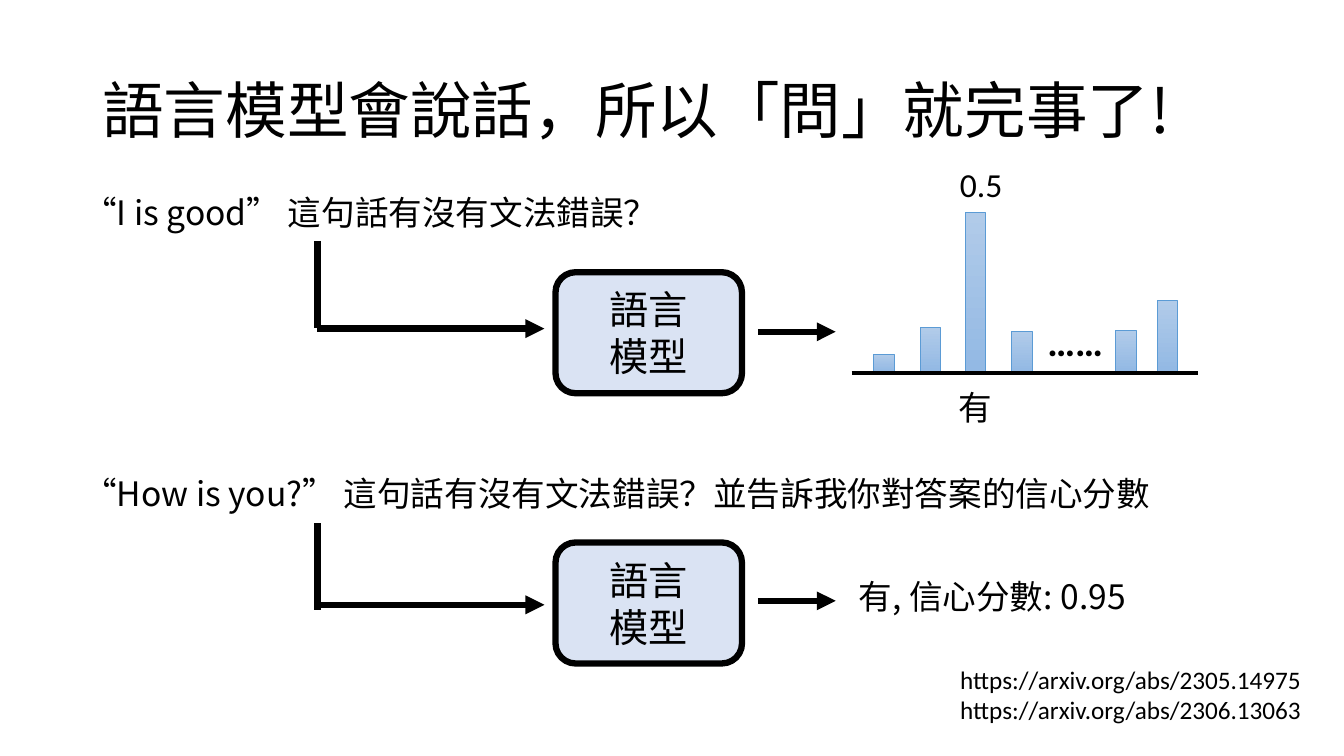
from typing import NamedTuple

from lxml import etree
from pptx import Presentation
from pptx import util as u
from pptx.dml.color import RGBColor
from pptx.enum import shapes, text
from pptx.oxml.ns import qn

CJK = "Noto Sans CJK SC"
LATIN = "Calibri"
BLACK = "000000"
LEFT, CENTER = text.PP_ALIGN.LEFT, text.PP_ALIGN.CENTER


class Label(NamedTuple):
    lines: tuple[str, ...]
    left: float
    top: float
    width: float
    height: float = 1.27
    size: int = 24
    font: str = CJK
    align: text.PP_ALIGN = LEFT
    bold: bool = False


class Line(NamedTuple):
    x1: float
    y1: float
    x2: float
    y2: float
    weight: float = 4.5
    arrow: bool = False


class Flow(NamedTuple):
    stem_top: float
    stem_bottom: float
    input_y: float
    model_top: float
    output_y: float


class Bar(NamedTuple):
    left: float
    height: float


TITLE = Label(("語言模型會說話，所以「問」就完事了!",), 2.33, 1.02, 29.21, 3.68, 44)
LABELS = (
    Label(("“I is good” 這句話有沒有文法錯誤？",), 1.85, 4.7, 16.84),
    Label(("“How is you?” 這句話有沒有文法錯誤？並告訴我你對答案的信心分數",), 1.85, 11.79, 28.58),
    Label(("……",), 24.82, 7.87, 4.55, 1.45, 28, LATIN, CENTER, True),
    Label(("有",), 22.68, 9.63, 3.81, align=CENTER),
    Label(("0.5",), 23.19, 4.01, 3.07, font=LATIN, align=CENTER),
    Label(("有, 信心分數: 0.95",), 21.39, 14.4, 10.77),
    Label(("https://arxiv.org/abs/2305.14975", "https://arxiv.org/abs/2306.13063"),
          23.95, 16.61, 9.8, 1.8, 18, LATIN),
)
FLOWS = (
    Flow(6.07, 8.26, 8.28, 6.86, 8.36),
    Flow(13.18, 15.37, 15.24, 13.67, 15.14),
)
BARS = (
    Bar(22.02, 0.41), Bar(23.19, 1.09), Bar(24.33, 3.99),
    Bar(25.5, 0.99), Bar(28.12, 1.02), Bar(29.16, 1.78),
)
BAR_WIDTH = 0.51
BAR_BOTTOM = 9.35
AXIS = Line(21.46, 9.4, 30.18, 9.4, 3)


def color(value: str) -> RGBColor:
    return RGBColor.from_string(value)


def write_lines(shape, label: Label, spacing: float = 1.0) -> None:
    frame = shape.text_frame
    frame.word_wrap = True
    for index, line in enumerate(label.lines):
        para = frame.add_paragraph() if index else frame.paragraphs[0]
        para.alignment = label.align
        para.line_spacing = spacing
        span = para.add_run()
        span.text = line
        span.font.size = u.Pt(label.size)
        span.font.name = label.font
        span.font.bold = label.bold
        span.font.color.rgb = color(BLACK)
        east_asian = etree.SubElement(span.font._element, qn("a:ea"))
        east_asian.set("typeface", CJK)


def add_label(page, label: Label):
    box = page.shapes.add_textbox(
        u.Cm(label.left), u.Cm(label.top), u.Cm(label.width), u.Cm(label.height))
    write_lines(box, label)
    return box


def add_title(page) -> None:
    box = add_label(page, TITLE)
    box.text_frame.vertical_anchor = text.MSO_ANCHOR.MIDDLE
    box.text_frame.paragraphs[0].line_spacing = 0.9


def add_line(page, line: Line) -> None:
    connector = page.shapes.add_connector(
        shapes.MSO_CONNECTOR.STRAIGHT,
        u.Cm(line.x1), u.Cm(line.y1), u.Cm(line.x2), u.Cm(line.y2))
    connector.line.color.rgb = color(BLACK)
    connector.line.width = u.Pt(line.weight)
    if line.arrow:
        tail = etree.SubElement(connector.line._get_or_add_ln(), qn("a:tailEnd"))
        tail.set("type", "triangle")
    etree.SubElement(connector._element.spPr, qn("a:effectLst"))


def add_model(page, top: float) -> None:
    label = Label(("語言", "模型"), 14, top, 4.7, 3.05, 28, align=CENTER)
    box = page.shapes.add_shape(
        shapes.MSO_SHAPE.ROUNDED_RECTANGLE,
        u.Cm(label.left), u.Cm(label.top), u.Cm(label.width), u.Cm(label.height))
    box.shadow.inherit = False
    box.fill.solid()
    box.fill.fore_color.rgb = color("DAE3F3")
    box.line.color.rgb = color(BLACK)
    box.line.width = u.Pt(4.5)
    box.text_frame.vertical_anchor = text.MSO_ANCHOR.MIDDLE
    write_lines(box, label)


def add_flow(page, flow: Flow) -> None:
    add_model(page, flow.model_top)
    add_line(page, Line(8, flow.stem_top, 8, flow.stem_bottom))
    add_line(page, Line(8, flow.input_y, 13.72, flow.input_y, arrow=True))
    add_line(page, Line(19.1, flow.output_y, 21.06, flow.output_y, arrow=True))


def add_bar(page, bar: Bar) -> None:
    box = page.shapes.add_shape(
        shapes.MSO_SHAPE.RECTANGLE, u.Cm(bar.left), u.Cm(BAR_BOTTOM - bar.height),
        u.Cm(BAR_WIDTH), u.Cm(bar.height))
    box.shadow.inherit = False
    box.fill.gradient()
    box.fill.gradient_angle = 270
    for stop, shade in zip(box.fill.gradient_stops, ("B1CBE9", "93B9E4")):
        stop.color.rgb = color(shade)
    box.line.color.rgb = color("5B9BD5")
    box.line.width = u.Pt(0.5)


def main() -> None:
    deck = Presentation()
    deck.slide_width, deck.slide_height = u.Cm(33.87), u.Cm(19.05)
    page = deck.slides.add_slide(deck.slide_layouts[6])
    add_title(page)
    for flow in FLOWS:
        add_flow(page, flow)
    for bar in BARS:
        add_bar(page, bar)
    add_line(page, AXIS)
    for label in LABELS:
        add_label(page, label)
    deck.save("out.pptx")


if __name__ == "__main__":
    main()
